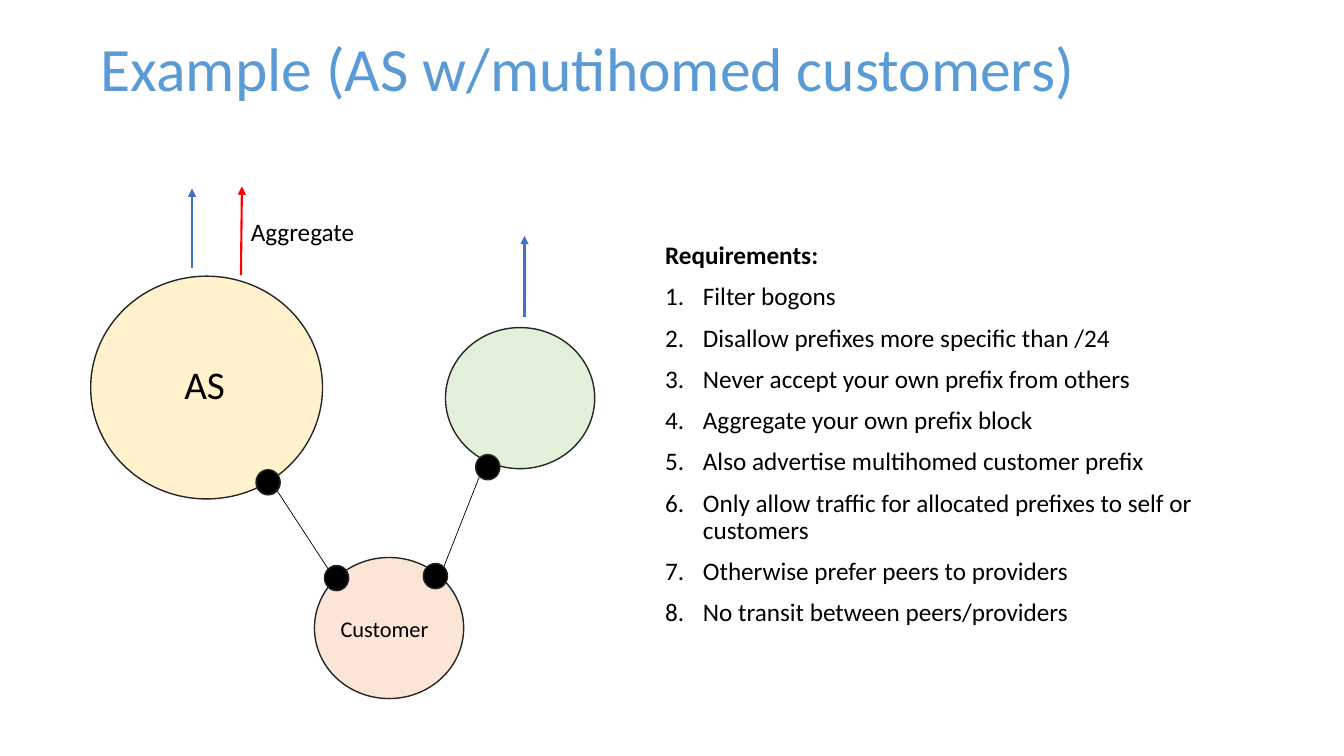
from dataclasses import dataclass

from lxml import etree
from pptx import Presentation
from pptx.dml.color import RGBColor
from pptx.enum.shapes import MSO_CONNECTOR, MSO_SHAPE
from pptx.enum.text import MSO_ANCHOR, MSO_AUTO_SIZE, PP_ALIGN
from pptx.oxml.ns import qn
from pptx.util import Pt

STRAIGHT = MSO_CONNECTOR.STRAIGHT
OVAL = MSO_SHAPE.OVAL
MIDDLE, TOP = MSO_ANCHOR.MIDDLE, MSO_ANCHOR.TOP
LEFT = PP_ALIGN.LEFT
NO_FIT = MSO_AUTO_SIZE.NONE

BLACK = RGBColor(0x00, 0x00, 0x00)
OUTLINE = RGBColor(0x26, 0x26, 0x26)
TITLE_BLUE = RGBColor(0x5B, 0x9B, 0xD5)
ARROW_BLUE = RGBColor(0x44, 0x72, 0xC4)
RED = RGBColor(0xFF, 0x00, 0x00)
YELLOW = RGBColor(0xFF, 0xF2, 0xCC)
GREEN = RGBColor(0xE2, 0xF0, 0xD9)
ORANGE = RGBColor(0xFB, 0xE5, 0xD6)

FONT = "Calibri"
INDENT = 27
NETWORK_W, NETWORK_H = 106.6, 100.8
ROUTER_W, ROUTER_H = 17.3, 18


@dataclass
class Line:
    x1: float
    y1: float
    x2: float
    y2: float
    color: RGBColor
    width: float
    arrow: bool = False


@dataclass
class Circle:
    x: float
    y: float
    w: float
    h: float
    fill: RGBColor


@dataclass
class Label:
    text: str
    x: float
    y: float
    w: float
    h: float
    size: float
    spacing: float = 1.0
    wrap: bool = True


LINKS = [
    Line(316.8, 405.4, 342.7, 339.8, BLACK, 0.5),
    Line(234.7, 406.8, 198, 350.6, BLACK, 0.5),
]
ANNOUNCEMENTS = [
    Line(172.1, 196.6, 172.8, 133.2, RED, 1.5, True),
    Line(137.2, 191.5, 137.2, 134.6, ARROW_BLUE, 1.5, True),
    Line(374.7, 226.1, 374.7, 168.5, ARROW_BLUE, 1.5, True),
]
NETWORKS = [
    Circle(64.8, 197.3, 165.6, 159.1, YELLOW),
    Circle(224.6, 398.2, NETWORK_W, NETWORK_H, ORANGE),
    Circle(318.2, 234, NETWORK_W, NETWORK_H, GREEN),
]
ROUTERS = [
    Circle(x, y, ROUTER_W, ROUTER_H, BLACK)
    for x, y in [(231.8, 403.9), (302.4, 402.5), (339.8, 324.7), (182.9, 335.5)]
]
LABELS = [
    Label("AS", 124.6, 260.6, 45.4, 36.7, 28, spacing=0.8),
    Label("Aggregate", 172.1, 151.2, 89.3, 28.8, 18, wrap=False),
    Label("Customer", 236.2, 439.9, 84.2, 23.8, 16, spacing=0.8),
]
REQUIREMENTS = [
    "Filter bogons",
    "Disallow prefixes more specific than /24",
    "Never accept your own prefix from others",
    "Aggregate your own prefix block",
    "Also advertise multihomed customer prefix",
    "Only allow traffic for allocated prefixes to self or customers",
    "Otherwise prefer peers to providers",
    "No transit between peers/providers",
]


def write(p, text: str, *, size: float, color: RGBColor = BLACK,
          bold: bool = False, spacing: float = 1.0, before: float = 0,
          numbered: bool = False) -> None:
    """Fill one paragraph with formatted text."""
    if numbered:
        pPr = p._p.get_or_add_pPr()
        pPr.set("marL", str(Pt(INDENT)))
        pPr.set("indent", str(-Pt(INDENT)))
        etree.SubElement(pPr, qn("a:buFont"), typeface="+mj-lt")
        etree.SubElement(pPr, qn("a:buAutoNum"), type="arabicPeriod")
    p.alignment = LEFT
    p.line_spacing = spacing
    p.space_before = Pt(before)
    r = p.add_run()
    r.text = text
    r.font.name = FONT
    r.font.size = Pt(size)
    r.font.bold = bold
    r.font.color.rgb = color


def add_line(slide, line: Line) -> None:
    ends = (Pt(v) for v in (line.x1, line.y1, line.x2, line.y2))
    cx = slide.shapes.add_connector(STRAIGHT, *ends)
    cx.line.color.rgb = line.color
    cx.line.width = Pt(line.width)
    if line.arrow:
        etree.SubElement(cx.line._get_or_add_ln(), qn("a:tailEnd"), type="triangle")
    etree.SubElement(cx._element.spPr, qn("a:effectLst"))


def add_circle(slide, c: Circle) -> None:
    sp = slide.shapes.add_shape(OVAL, Pt(c.x), Pt(c.y), Pt(c.w), Pt(c.h))
    sp.shadow.inherit = False
    sp.fill.solid()
    sp.fill.fore_color.rgb = c.fill
    sp.line.color.rgb = OUTLINE
    sp.line.width = Pt(1)


def add_box(slide, x: float, y: float, w: float, h: float, wrap: bool = True):
    tf = slide.shapes.add_textbox(Pt(x), Pt(y), Pt(w), Pt(h)).text_frame
    tf.word_wrap = wrap
    tf.vertical_anchor = TOP
    return tf


def add_label(slide, label: Label) -> None:
    tf = add_box(slide, label.x, label.y, label.w, label.h, label.wrap)
    write(tf.paragraphs[0], label.text, size=label.size, spacing=label.spacing)


def add_title(slide, text: str) -> None:
    sp = slide.shapes.title
    sp.left, sp.top, sp.width, sp.height = Pt(64.8), Pt(-1.4), Pt(828), Pt(104.4)
    tf = sp.text_frame
    tf.word_wrap = True
    tf.auto_size = NO_FIT
    tf.vertical_anchor = MIDDLE
    write(tf.paragraphs[0], text, size=44, color=TITLE_BLUE, spacing=0.9)


def add_requirements(slide) -> None:
    tf = add_box(slide, 468, 169.9, 464.4, 293.8)
    write(tf.paragraphs[0], "Requirements:", size=18, bold=True, spacing=0.9)
    for text in REQUIREMENTS:
        write(tf.add_paragraph(), text, size=18, spacing=0.9, before=10, numbered=True)


def main() -> None:
    prs = Presentation()
    prs.slide_width, prs.slide_height = Pt(960), Pt(540)
    slide = prs.slides.add_slide(prs.slide_layouts[5])
    add_title(slide, "Example (AS w/mutihomed customers)")

    # Network diagram, from back to front
    for link in LINKS:
        add_line(slide, link)
    for circle in NETWORKS + ROUTERS:
        add_circle(slide, circle)
    for arrow in ANNOUNCEMENTS:
        add_line(slide, arrow)
    for label in LABELS:
        add_label(slide, label)

    # Numbered list
    add_requirements(slide)
    prs.save("out.pptx")


if __name__ == "__main__":
    main()
